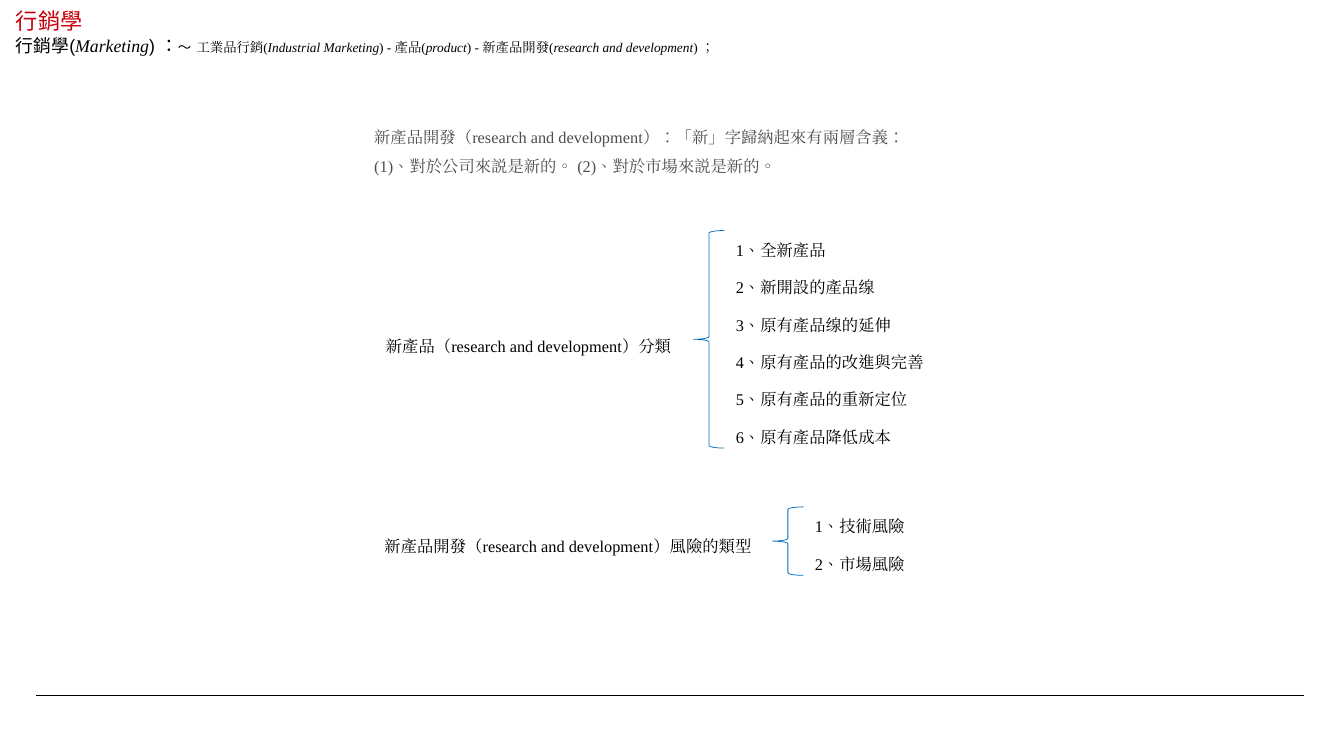
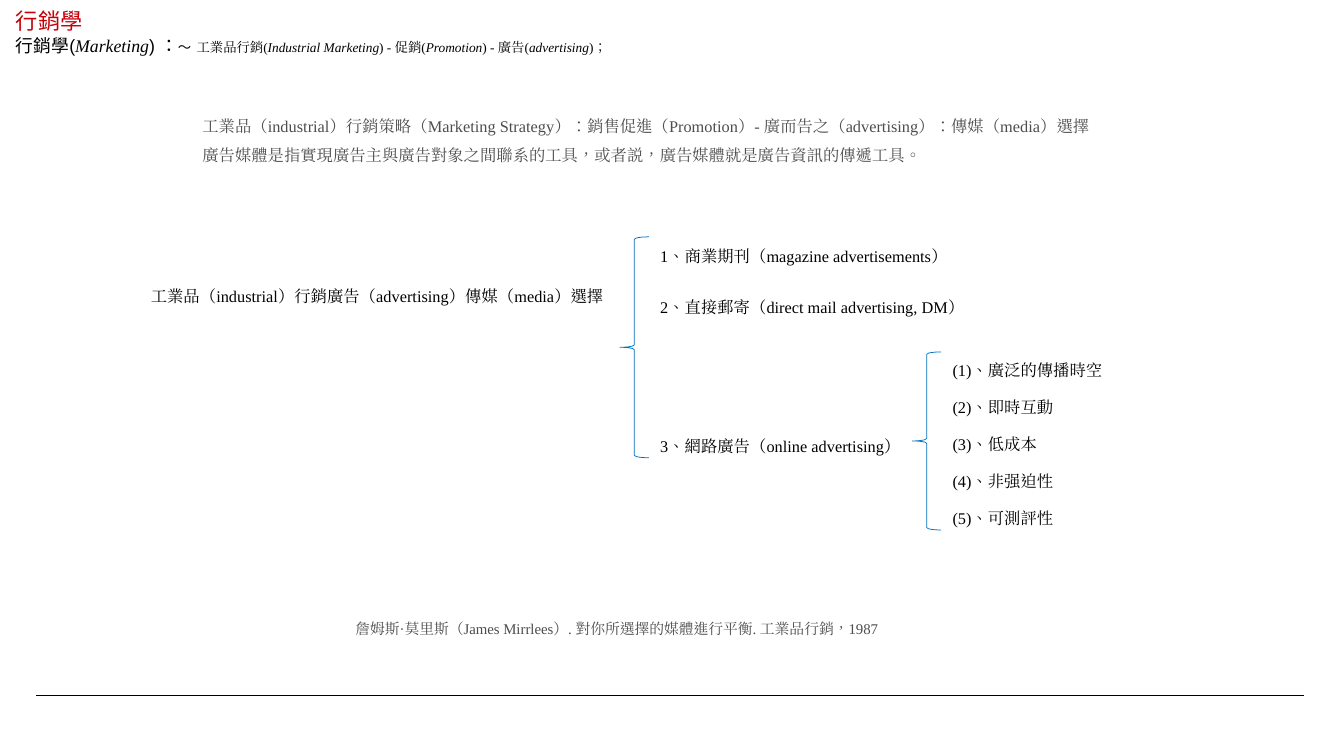
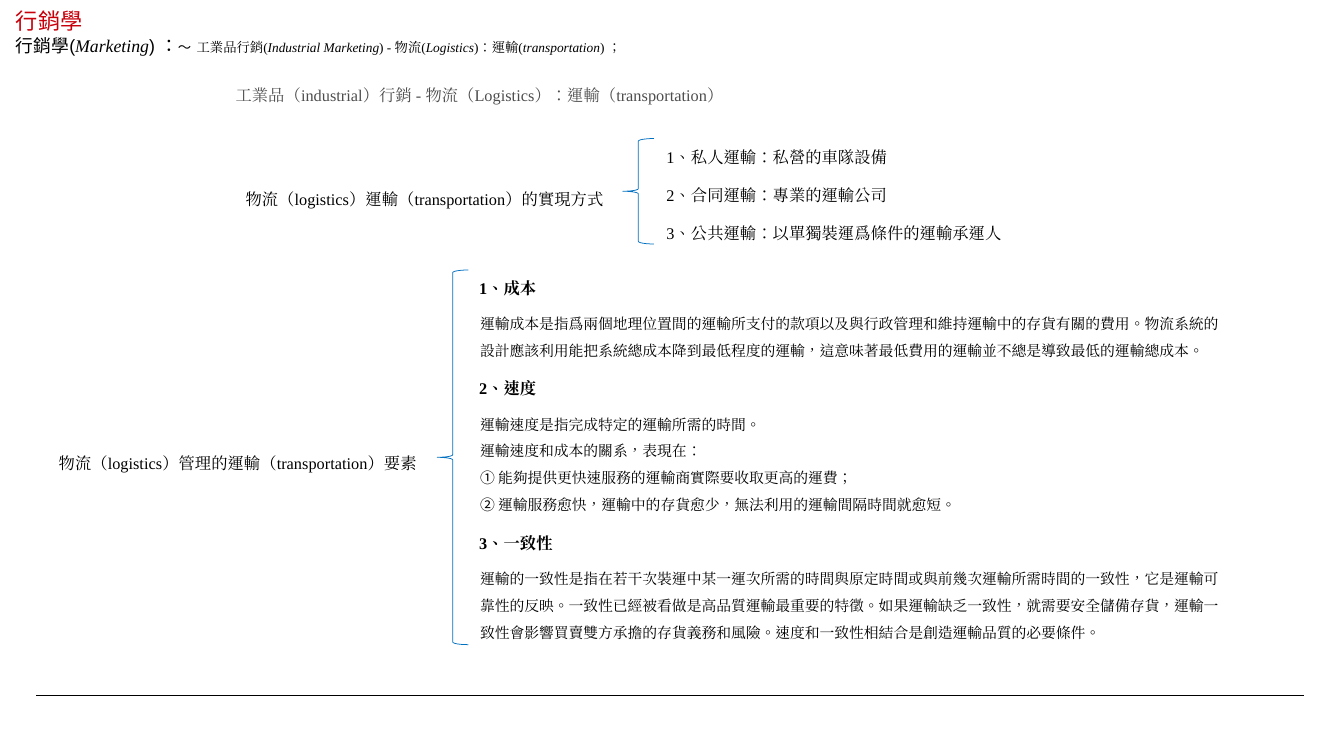
"""Build three marketing lecture slides with bracketed outlines."""
from lxml.etree import SubElement
from pptx import Presentation
from pptx.dml.color import RGBColor
from pptx.enum.shapes import MSO_CONNECTOR, MSO_SHAPE
from pptx.enum.text import MSO_ANCHOR, MSO_AUTO_SIZE, PP_ALIGN
from pptx.oxml.ns import qn
from pptx.util import Cm, Pt

COLORS = {"title": "C7000B", "text": "000000", "muted": "4D4D4D", "brace": "0070C0"}
SERIF, SANS, SYMBOL = "Times New Roman", "Arial", "Noto Sans CJK SC"
LINE_HEIGHT = 0.86


def add_text(page, text, left, top, width, height=LINE_HEIGHT, size=11, font=SERIF, color="text",
             bold=False, align=PP_ALIGN.LEFT, spacing=1.5, grow=True):
    """Add a text box; text is a list of paragraphs, each a string or a list of (string, overrides)."""
    box = page.shapes.add_textbox(Cm(left), Cm(top), Cm(width), Cm(height))
    frame = box.text_frame
    frame.word_wrap = True
    frame.auto_size = MSO_AUTO_SIZE.SHAPE_TO_FIT_TEXT if grow else MSO_AUTO_SIZE.NONE
    frame.vertical_anchor = MSO_ANCHOR.TOP if grow else MSO_ANCHOR.MIDDLE
    for index, content in enumerate(text):
        para = frame.add_paragraph() if index else frame.paragraphs[0]
        para.alignment = align
        para.line_spacing = spacing
        for words, changes in [(content, {})] if isinstance(content, str) else content:
            style = {"size": size, "font": font, "italic": False} | changes
            span = para.add_run()
            span.text = words
            span.font.size = Pt(style["size"])
            span.font.name = style["font"]
            span.font.bold = bold
            span.font.italic = style["italic"]
            span.font.color.rgb = RGBColor.from_string(COLORS[color])
            properties = span.font._element
            properties.set("lang", "zh-TW")
            SubElement(properties, qn("a:ea")).set("typeface", style["font"])


def steps(first, pitch, count):
    """Return evenly spaced top positions."""
    return [first + pitch * index for index in range(count)]


HEADER_START = [
    ("行銷學(", {"size": 12, "font": SANS}),
    ("Marketing", {"size": 12, "italic": True}),
    (") ：", {"size": 12, "font": SANS}),
    ("～", {"font": SANS}),
    (" ", {"size": 13, "font": SANS}),
]

SLIDES = [
    {
        "topic": "工業品行銷(*Industrial Marketing*) - 產品(*product*) - 新產品開發(*research and development*) ；",
        "intro": (["新產品開發（research and development）：「新」字歸納起來有兩層含義：",
                   "(1)、對於公司來説是新的。 (2)、對於市場來説是新的。"], 8.66, 2.67, 16.94, 1.57),
        "labels": [("新產品（research and development）分類", 8.66, 7.65, 7.85),
                   ("新產品開發（research and development）風險的類型", 8.66, 12.4, 9.73)],
        "braces": [(16.51, 5.49, 0.74, 5.18), (18.39, 12.07, 0.74, 1.63)],
        "lists": [(17.27, 5.44, steps(5.36, 0.89, 6),
                   ["1、全新產品", "2、新開設的產品缐", "3、原有產品缐的延伸",
                    "4、原有產品的改進與完善", "5、原有產品的重新定位", "6、原有產品降低成本"]),
                  (19.15, 3.3, steps(11.94, 0.89, 2), ["1、技術風險", "2、市場風險"])],
    },
    {
        "topic": "工業品行銷(*Industrial Marketing*) - 促銷(*Promotion*) - 廣告(*advertising*)；",
        "intro": (["工業品（industrial）行銷策略（Marketing Strategy）：銷售促進（Promotion）- "
                   "廣而告之（advertising）：傳媒（media）選擇",
                   "廣告媒體是指實現廣告主與廣告對象之間聯系的工具，或者説，廣告媒體就是廣告資訊的傳遞工具。"],
                  4.57, 2.41, 22.86, 1.57),
        "labels": [("工業品（industrial）行銷廣告（advertising）傳媒（media）選擇", 3.2, 6.45, 11.56)],
        "braces": [(14.76, 5.64, 0.69, 5.26), (21.72, 8.38, 0.69, 4.24)],
        "lists": [(15.47, 7.8, [5.51, 6.71, 10.03],
                   ["1、商業期刊（magazine advertisements）", "2、直接郵寄（direct mail advertising, DM）",
                    "3、網路廣告（online advertising）"]),
                  (22.43, 4.29, steps(8.23, 0.88, 5),
                   ["(1)、廣泛的傳播時空", "(2)、即時互動", "(3)、低成本", "(4)、非强迫性", "(5)、可測評性"])],
        "citation": "詹姆斯·莫里斯（James Mirrlees）. 對你所選擇的媒體進行平衡. 工業品行銷，1987",
    },
    {
        "topic": "工業品行銷(*Industrial Marketing*) - 物流(*Logistics*)：運輸(*transportation*) ；",
        "intro": (["工業品（industrial）行銷 - 物流（Logistics）：運輸（transportation）"],
                  5.36, 1.68, 22.07, LINE_HEIGHT),
        "labels": [("物流（logistics）運輸（transportation）的實現方式", 5.36, 4.14, 9.5),
                   ("物流（logistics）管理的運輸（transportation）要素", 0.91, 10.44, 9.5)],
        "braces": [(14.83, 3.3, 0.74, 2.51), (10.41, 6.43, 0.74, 8.92)],
        "lists": [(15.62, 9.17, steps(3.15, 0.9, 3),
                   ["1、私人運輸：私營的車隊設備", "2、合同運輸：專業的運輸公司",
                    "3、公共運輸：以單獨裝運爲條件的運輸承運人"])],
        "sections": [
            ("1、成本", 6.27, 7.16, 1.45,
             ["運輸成本是指爲兩個地理位置間的運輸所支付的款項以及與行政管理和維持運輸中的存貨有關的費用。"
              "物流系統的設計應該利用能把系統總成本降到最低程度的運輸，"
              "這意味著最低費用的運輸並不總是導致最低的運輸總成本。"]),
            ("2、速度", 8.64, 9.55, 2.74,
             ["運輸速度是指完成特定的運輸所需的時間。",
              "運輸速度和成本的關系，表現在：",
              [("① ", {"font": SYMBOL}), ("能夠提供更快速服務的運輸商實際要收取更高的運費；", {})],
              [("② ", {"font": SYMBOL}),
               ("運輸服務愈快，運輸中的存貨愈少，無法利用的運輸間隔時間就愈短。", {})]]),
            ("3、一致性", 12.34, 13.23, 2.11,
             ["運輸的一致性是指在若干次裝運中某一運次所需的時間與原定時間或與前幾次運輸所需時間的一致性，"
              "它是運輸可靠性的反映。一致性已經被看做是高品質運輸最重要的特徵。"
              "如果運輸缺乏一致性，就需要安全儲備存貨，運輸一致性會影響買賣雙方承擔的存貨義務和風險。"
              "速度和一致性相結合是創造運輸品質的必要條件。"]),
        ],
    },
]

deck = Presentation()
deck.slide_width, deck.slide_height = Cm(32), Cm(18)

for content in SLIDES:
    page = deck.slides.add_slide(deck.slide_layouts[6])

    rule = page.shapes.add_connector(MSO_CONNECTOR.STRAIGHT, Cm(0.86), Cm(16.56), Cm(31.04), Cm(16.56))
    rule.line.color.rgb = RGBColor.from_string(COLORS["text"])
    rule.line.width = Pt(0.5)
    SubElement(rule._element.spPr, qn("a:effectLst"))

    add_text(page, ["行銷學"], 0.13, 0.18, 23.67, 0.61, size=15, font=SANS, color="title",
             spacing=1.0, grow=False)
    topic = [(words, {"italic": index % 2 == 1}) for index, words in enumerate(content["topic"].split("*"))]
    add_text(page, [HEADER_START + topic], 0.13, 0.66, 26.49, 0.81, size=9, spacing=1.0)

    add_text(page, *content["intro"], color="muted")

    for label, left, top, width in content["labels"]:
        add_text(page, [label], left, top, width, align=PP_ALIGN.CENTER)

    for left, top, width, height in content["braces"]:
        brace = page.shapes.add_shape(MSO_SHAPE.LEFT_BRACE, Cm(left), Cm(top), Cm(width), Cm(height))
        brace.shadow.inherit = False
        brace.fill.background()
        brace.line.color.rgb = RGBColor.from_string(COLORS["brace"])
        brace.line.width = Pt(0.5)

    for left, width, tops, items in content["lists"]:
        for top, item in zip(tops, items):
            add_text(page, [item], left, top, width)

    for heading, heading_top, body_top, body_height, body in content.get("sections", []):
        add_text(page, [heading], 11.16, heading_top, 18.27, bold=True)
        add_text(page, body, 11.18, body_top, 18.29, body_height, size=10)

    if "citation" in content:
        add_text(page, [content["citation"]], 7.09, 14.43, 15.19, 0.81, size=10, color="muted",
                 align=PP_ALIGN.CENTER)

deck.save("out.pptx")
